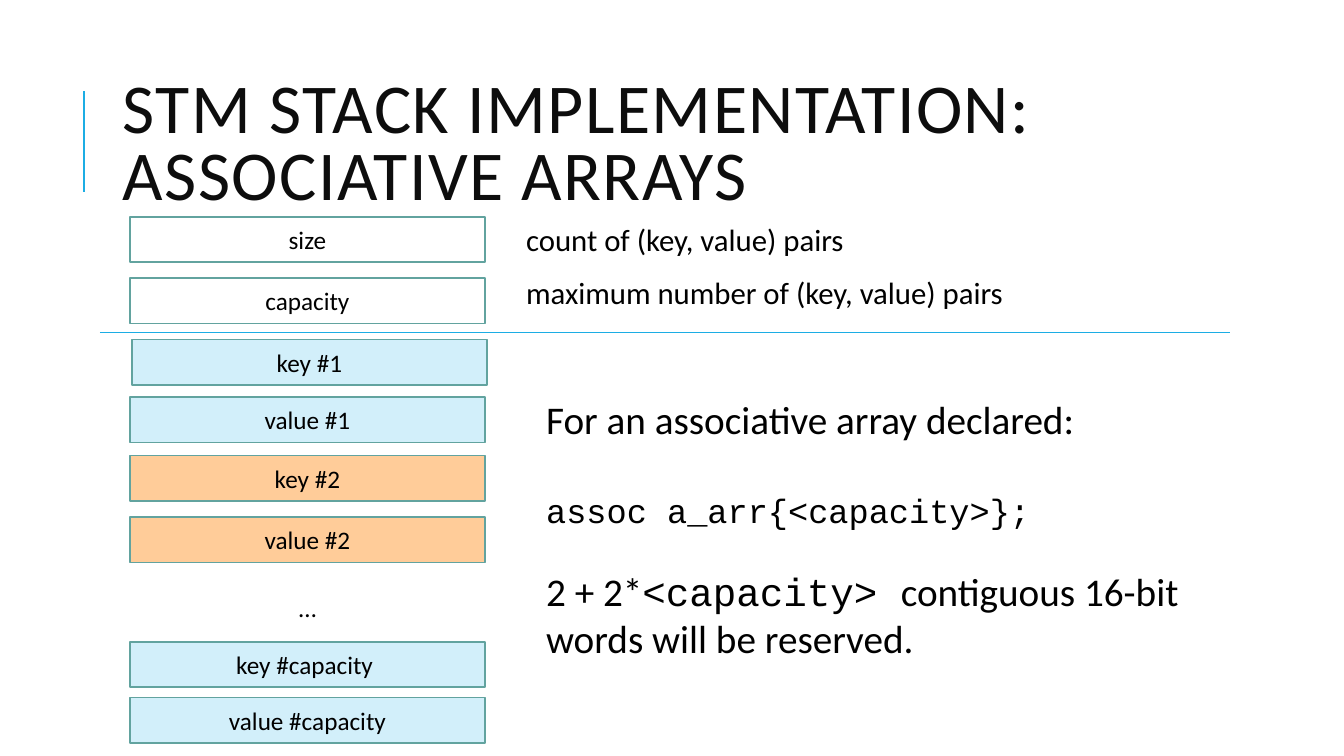
from lxml import etree
from pptx import Presentation
from pptx.dml.color import RGBColor
from pptx.enum.shapes import MSO_CONNECTOR, MSO_SHAPE
from pptx.enum.text import MSO_ANCHOR, MSO_AUTO_SIZE, PP_ALIGN
from pptx.oxml.ns import qn
from pptx.util import Pt

COLORS = {
    "accent": "1CADE4",
    "title": "0D0D0D",
    "text": "000000",
    "border": "62A39F",
    "white": "FFFFFF",
    "blue": "D2EFFA",
    "orange": "FFCC99",
}
SANS, MONO = "Calibri", "Courier New"
WORD_HEIGHT = 32.4

# text, offset from the top of the stack, fill, shift to the right
MEMORY_WORDS = [
    ("size", 0, "white", 0),
    ("capacity", 43.9, "white", 0),
    ("key #1", 87.8, "blue", 1.4),
    ("value #1", 128.9, "blue", 0),
    ("key #2", 170.6, "orange", 0),
    ("value #2", 214.6, "orange", 0),
    ("key #capacity ", 303.8, "blue", 0),
    ("value #capacity", 343.4, "blue", 0),
]


def color(name):
    return RGBColor.from_string(COLORS[name])


def format_runs(paragraph, size, font=SANS, name="text"):
    for run in paragraph.runs:
        run.font.size = Pt(size)
        run.font.name = font
        run.font.color.rgb = color(name)


def place(shape, left, top, width, height):
    shape.left, shape.top = Pt(left), Pt(top)
    shape.width, shape.height = Pt(width), Pt(height)


def add_text_area(slide, left, top, width, height):
    area = slide.shapes.add_textbox(Pt(left), Pt(top), Pt(width), Pt(height))
    area.text_frame.word_wrap = True
    return area


def add_rule(slide, start, end, weight):
    rule = slide.shapes.add_connector(
        MSO_CONNECTOR.STRAIGHT, *(Pt(value) for value in (*start, *end)))
    rule.line.color.rgb = color("accent")
    rule.line.width = Pt(weight)
    etree.SubElement(rule._element.spPr, qn("a:effectLst"))


def add_title(slide, left, top, width, height):
    title = slide.shapes.title
    place(title, left, top, width, height)
    frame = title.text_frame
    frame.text = "STM STACK IMPLEMENTATION: ASSOCIATIVE ARRAYS"
    frame.auto_size = MSO_AUTO_SIZE.NONE
    frame.vertical_anchor = MSO_ANCHOR.MIDDLE
    heading = frame.paragraphs[0]
    heading.alignment = PP_ALIGN.LEFT
    heading.line_spacing = 0.8
    format_runs(heading, 50, name="title")
    heading.runs[0].font._element.set("spc", "100")
    bar_x = left - 20.9
    add_rule(slide, (bar_x, top + 90.7), (bar_x, top + 18.7), 1.5)


def add_descriptions(slide, left, top, width):
    """Explain the two header words, one line beside each."""
    second_offset = 38.2
    count = slide.placeholders[1]
    place(count, left, top, width, WORD_HEIGHT)
    count.fill.solid()
    count.fill.fore_color.rgb = color("white")
    maximum = add_text_area(slide, left, top + second_offset, width, WORD_HEIGHT)
    for description, wording in (
        (count, "count of (key, value) pairs"),
        (maximum, "maximum number of (key, value) pairs"),
    ):
        frame = description.text_frame
        frame.text = wording
        frame.auto_size = MSO_AUTO_SIZE.NONE
        frame.margin_left = frame.margin_right = Pt(3.6)
        line = frame.paragraphs[0]
        line.line_spacing = 0.9
        line.space_before, line.space_after = Pt(12), Pt(2)
        properties = line._p.get_or_add_pPr()
        properties.set("marL", str(Pt(7.2)))
        properties.set("indent", "0")
        etree.SubElement(properties, qn("a:buNone"))
        format_runs(line, 22)


def add_memory_stack(slide, left, top, width):
    for wording, offset, fill, shift in MEMORY_WORDS:
        word = slide.shapes.add_shape(
            MSO_SHAPE.RECTANGLE, Pt(left + shift), Pt(top + offset),
            Pt(width), Pt(WORD_HEIGHT))
        word.shadow.inherit = False
        word.fill.solid()
        word.fill.fore_color.rgb = color(fill)
        word.line.color.rgb = color("border")
        word.line.width = Pt(1.25)
        frame = word.text_frame
        frame.text = wording
        frame.vertical_anchor = MSO_ANCHOR.MIDDLE
        frame.paragraphs[0].alignment = PP_ALIGN.CENTER
        format_runs(frame.paragraphs[0], 18)

    ellipsis_width = 176.4
    ellipsis = add_text_area(
        slide, left + (width - ellipsis_width) / 2, top + 265, ellipsis_width, 29)
    ellipsis.text_frame.text = "…"
    ellipsis.text_frame.paragraphs[0].alignment = PP_ALIGN.CENTER
    format_runs(ellipsis.text_frame.paragraphs[0], 18)


def add_declaration(slide, left, top, width):
    """Show the declaration and the memory it reserves."""
    declaration = add_text_area(slide, left, top, width, 104.4).text_frame
    declaration.text = "For an associative array declared:\nassoc a_arr{<capacity>};"
    intro, code = declaration.paragraphs
    format_runs(intro, 28)
    format_runs(code, 24, MONO)
    code.space_before = Pt(34.2)

    reserved = add_text_area(slide, left, top + 123.1, width, 74.9).text_frame
    sentence = reserved.paragraphs[0]
    for part in ("2 + 2*", "<capacity> ", "contiguous 16-bit words will be reserved."):
        sentence.add_run().text = part
    format_runs(sentence, 28)
    sentence.runs[1].font.name = MONO


def main():
    presentation = Presentation()
    presentation.slide_width, presentation.slide_height = Pt(960), Pt(540)
    slide = presentation.slides.add_slide(presentation.slide_layouts[1])
    add_title(slide, 80.6, 46.1, 765.4, 118.1)
    add_descriptions(slide, 365, 157, 486.7)
    add_memory_stack(slide, 92.9, 154.8, 253.4)
    add_rule(slide, (71.3, 237.6), (878.4, 237.6), 0.75)
    add_declaration(slide, 383, 278.6, 483.8)
    presentation.save("out.pptx")


if __name__ == "__main__":
    main()
